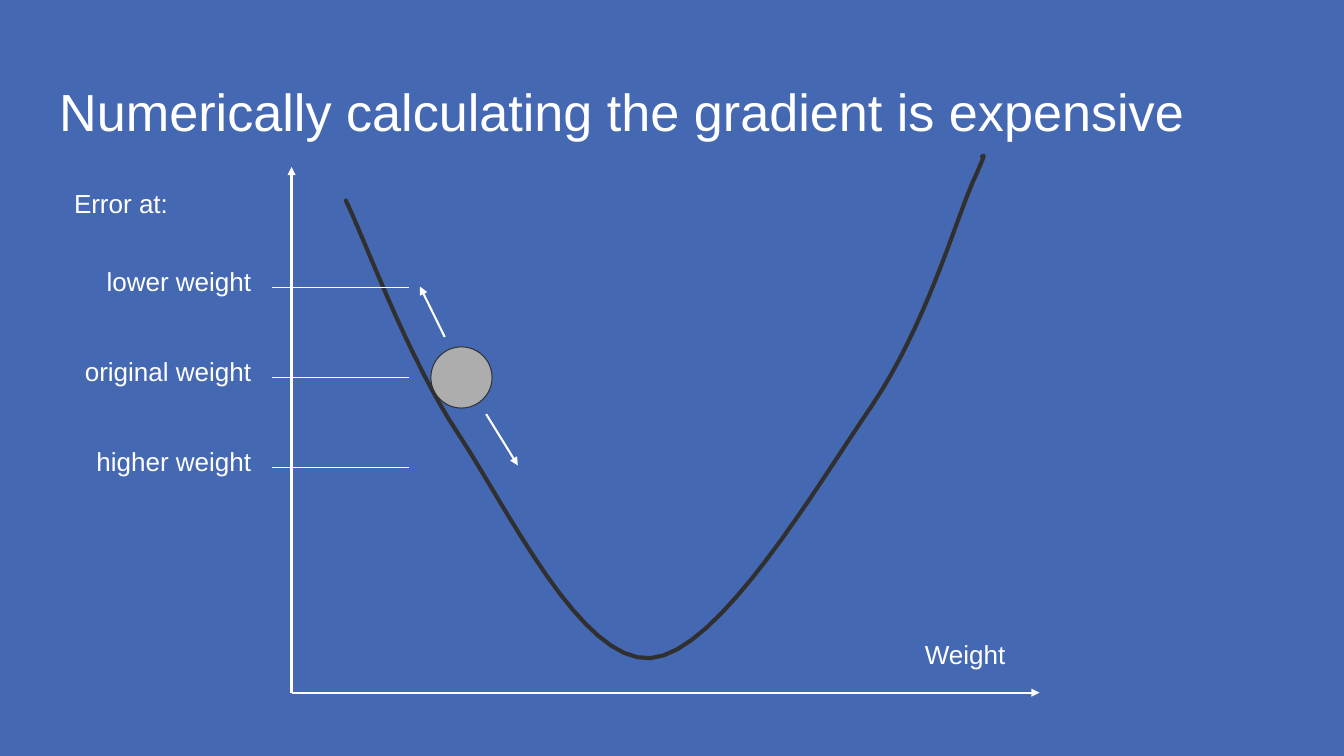
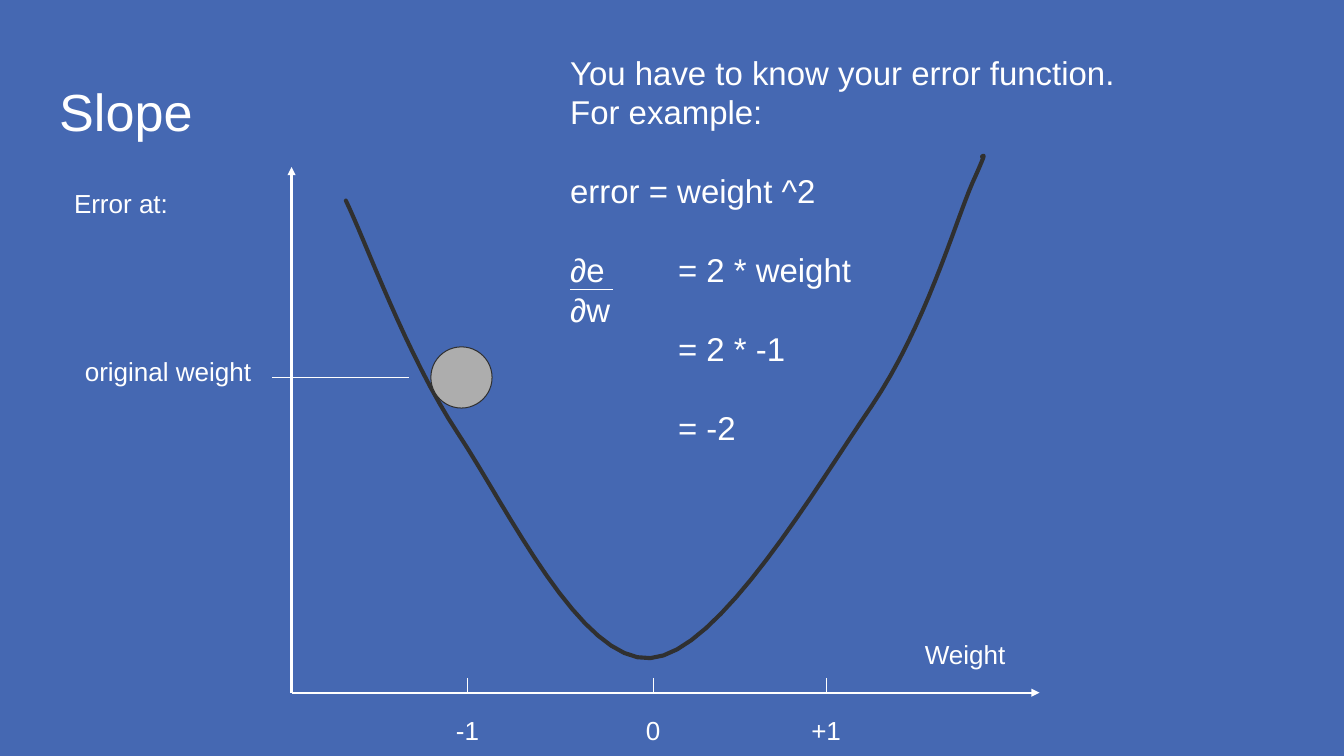
import itertools

import lxml.etree
import pptx
import pptx.dml.color
import pptx.enum.shapes
import pptx.enum.text
import pptx.oxml.ns
import pptx.util

Pt = pptx.util.Pt
ALIGN = pptx.enum.text.PP_ALIGN
qn = pptx.oxml.ns.qn

COLORS = {"background": "4568B2", "text": "FFFFFF", "curve": "303030", "ball": "ADADAD"}
FONT = "Arial"
TITLE_SIZE, BODY_SIZE, LABEL_SIZE = 38, 24, 19
LEADING = 1.2
INSET = 10
LABEL_WIDTH, LABEL_HEIGHT = 256, 30
TITLE_BOX = (33.1, 47.5, 912, 61)
PLOT_BOX = (212.4, 121.7, 545, 383)
DERIVATION_BOX = (405.4, 28.1, 500, 77)

LEVEL_TOP, LEVEL_STEP = 87.8, 65.5
LEVELS = ["lower weight", "original weight", "higher weight"]
TICKS = [("-1", 128.2), ("0", 263.5), ("+1", 389.5)]
MOVES = [((111.6, 123.8), (93.6, 87.1)), ((141.8, 180), (164.9, 217.4))]
CURVE = [
    (39.6, 24.5), (53.3, 52.5), (84.2, 138.2),
    (121, 193.7), (157.7, 249.1), (211, 361.4),
    (261.4, 357.8), (311, 354.9), (383, 231.8),
    (422.6, 174.2), (461.5, 116.6), (483.1, 41.7),
    (496.1, 11.5), (509.8, -18.7), (501.8, -4.3),
    (503.3, -7.9),
]
CURVE_STEPS = 16
DERIVATION = [
    ("You have to know your error function.", 0),
    ("For example:", 0),
    ("error = weight ^2", 1),
    ("∂e\t= 2 * weight", 1),
    ("∂w", 0),
    ("\t= 2 * -1", 0),
    ("\t= -2", 1),
]
DERIVATION_TAB = 78.6
FRACTION_WIDTH = 31
FRACTION_LINES_ABOVE = 6


def color(name):
    return pptx.dml.color.RGBColor.from_string(COLORS[name])


def add_text(slide, box, lines, size, align=ALIGN.LEFT, tab=None):
    shape = slide.shapes.add_textbox(*map(Pt, box))
    frame = shape.text_frame
    frame.word_wrap = True
    frame.vertical_anchor = pptx.enum.text.MSO_ANCHOR.TOP
    frame.margin_left = frame.margin_right = Pt(INSET)
    frame.margin_top = frame.margin_bottom = Pt(INSET)
    for index, (text, lines_before) in enumerate(lines):
        paragraph = frame.add_paragraph() if index else frame.paragraphs[0]
        paragraph.text = text
        paragraph.alignment = align
        paragraph.line_spacing = Pt(size * LEADING)
        if lines_before:
            paragraph.space_before = Pt(size * LEADING * lines_before)
        if tab and "\t" in text:
            properties = paragraph._p.get_or_add_pPr()
            tabs = lxml.etree.SubElement(properties, qn("a:tabLst"))
            lxml.etree.SubElement(tabs, qn("a:tab"), pos=str(Pt(tab)), algn="l")
        paragraph.font.name = FONT
        paragraph.font.size = Pt(size)
        paragraph.font.color.rgb = color("text")


def add_label(slide, left, top, text, align=ALIGN.LEFT):
    shift = {ALIGN.LEFT: 0, ALIGN.CENTER: 0.5, ALIGN.RIGHT: 1}[align] * LABEL_WIDTH
    add_text(slide, (left - shift, top, LABEL_WIDTH, LABEL_HEIGHT), [(text, 0)], LABEL_SIZE, align)


def add_line(slide, start, end, width=0.75, arrow=False):
    connector = slide.shapes.add_connector(
        pptx.enum.shapes.MSO_CONNECTOR.STRAIGHT, *map(Pt, start + end))
    connector.line.color.rgb = color("text")
    connector.line.width = Pt(width)
    if arrow:
        lxml.etree.SubElement(connector.line._get_or_add_ln(), qn("a:tailEnd"), type="triangle")
    lxml.etree.SubElement(connector._element.spPr, qn("a:effectLst"))


def curve_points():
    yield CURVE[0]
    for first in range(0, len(CURVE) - 1, 3):
        controls = CURVE[first:first + 4]
        for step in range(1, CURVE_STEPS + 1):
            t = step / CURVE_STEPS
            weights = ((1 - t) ** 3, 3 * t * (1 - t) ** 2, 3 * t ** 2 * (1 - t), t ** 3)
            yield tuple(sum(w * point[axis] for w, point in zip(weights, controls))
                        for axis in (0, 1))


def add_curve(slide, left, top):
    points = [(Pt(left + x), Pt(top + y)) for x, y in curve_points()]
    builder = slide.shapes.build_freeform(*points[0], scale=1.0)
    builder.add_line_segments(points[1:], close=False)
    curve = builder.convert_to_shape()
    curve.shadow.inherit = False
    curve.fill.background()
    curve.line.color.rgb = color("curve")
    curve.line.width = Pt(3)
    outline = curve.line._get_or_add_ln()
    outline.set("cap", "rnd")
    lxml.etree.SubElement(outline, qn("a:round"))


def add_ball(slide, left, top, size):
    ball = slide.shapes.add_shape(
        pptx.enum.shapes.MSO_SHAPE.OVAL, Pt(left), Pt(top), Pt(size), Pt(size))
    ball.shadow.inherit = False
    ball.fill.solid()
    ball.fill.fore_color.rgb = color("ball")
    ball.line.color.rgb = color("curve")
    ball.line.width = Pt(0.75)


def add_plot(slide, box, levels):
    left, top, width, height = box
    bottom = top + height
    add_curve(slide, left, top)
    add_ball(slide, left + 101.5, top + 131, 44.6)
    for end in ((left, top), (left + width, bottom)):
        add_line(slide, (left, bottom), end, 1.5, arrow=True)
    add_label(slide, left - 168.5, top + 5, "Error at:")
    add_label(slide, left + 451.4, top + 333.3, "Weight")
    for index, text in enumerate(LEVELS):
        if text in levels:
            level = top + LEVEL_TOP + index * LEVEL_STEP
            add_line(slide, (left + 85.7, level), (left - 14.4, level))
            add_label(slide, left - 19.4, level - 26, text, ALIGN.RIGHT)


def add_moves(slide, box):
    left, top = box[:2]
    for start, end in MOVES:
        add_line(slide, (left + start[0], top + start[1]),
                 (left + end[0], top + end[1]), 1.5, arrow=True)


def add_ticks(slide, box):
    left, top, _, height = box
    bottom = top + height
    for text, offset in TICKS:
        add_line(slide, (left + offset, bottom - 10.8), (left + offset, bottom))
        add_label(slide, left + offset, bottom + 5.8, text, ALIGN.CENTER)


def add_derivation(slide, box):
    add_text(slide, box, DERIVATION, BODY_SIZE, tab=DERIVATION_TAB)
    left = box[0] + INSET
    level = box[1] + INSET + FRACTION_LINES_ABOVE * BODY_SIZE * LEADING
    add_line(slide, (left, level), (left + FRACTION_WIDTH, level))


def add_slide(presentation, title, levels):
    slide = presentation.slides.add_slide(presentation.slide_layouts[6])
    slide.background.fill.solid()
    slide.background.fill.fore_color.rgb = color("background")
    add_text(slide, TITLE_BOX, [(title, 0)], TITLE_SIZE)
    add_plot(slide, PLOT_BOX, levels)
    return slide


def main():
    presentation = pptx.Presentation()
    presentation.slide_width = Pt(979.2)
    presentation.slide_height = Pt(550.8)

    slide = add_slide(presentation, "Numerically calculating the gradient is expensive", LEVELS)
    add_moves(slide, PLOT_BOX)

    slide = add_slide(presentation, "Slope", ["original weight"])
    add_derivation(slide, DERIVATION_BOX)
    add_ticks(slide, PLOT_BOX)

    presentation.save("out.pptx")


if __name__ == "__main__":
    main()
